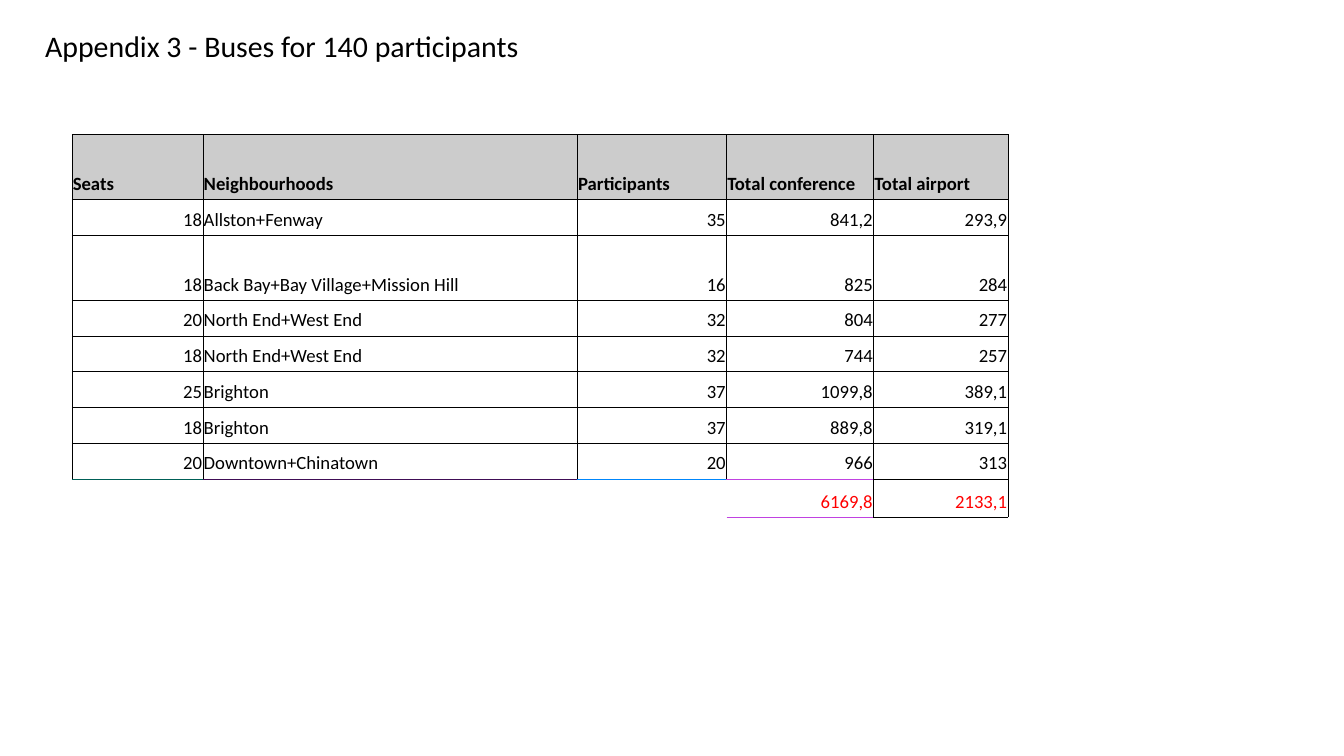
from dataclasses import dataclass

from lxml.etree import SubElement
from pptx import Presentation
from pptx.dml.color import RGBColor
from pptx.enum.text import MSO_ANCHOR, MSO_AUTO_SIZE, PP_ALIGN
from pptx.oxml.ns import qn
from pptx.table import _Cell
from pptx.util import Cm, Pt

BLACK = RGBColor(0x00, 0x00, 0x00)
RED = RGBColor(0xFF, 0x00, 0x00)
HEADER_GREY = RGBColor(0xCC, 0xCC, 0xCC)
TEAL = RGBColor(0x00, 0x60, 0x57)
PLUM = RGBColor(0x40, 0x0D, 0x56)
BLUE = RGBColor(0x00, 0x86, 0xFB)
VIOLET = RGBColor(0xC0, 0x42, 0xE1)

FONT = "Calibri"
SIDES = "LRTB"


@dataclass
class Column:
    heading: str
    width: float
    total: str
    total_borders: dict[str, RGBColor]
    align: PP_ALIGN = PP_ALIGN.RIGHT


@dataclass
class Bus:
    seats: str
    neighbourhoods: str
    participants: str
    conference: str
    airport: str
    height: float = 1.35

    def values(self) -> list[str]:
        return [self.seats, self.neighbourhoods, self.participants,
                self.conference, self.airport]


ALL_BLACK = dict.fromkeys(SIDES, BLACK)
COLUMNS = [
    Column("Seats", 4.95, "", {"T": TEAL}),
    Column("Neighbourhoods", 14.15, "", {"T": PLUM}, PP_ALIGN.LEFT),
    Column("Participants", 5.64, "", {"T": BLUE}),
    Column("Total conference", 5.56, "6169,8", {"T": VIOLET, "R": BLACK, "B": VIOLET}),
    Column("Total airport", 5.08, "2133,1", ALL_BLACK),
]
BUSES = [
    Bus("18", "Allston+Fenway", "35", "841,2", "293,9"),
    Bus("18", "Back Bay+Bay Village+Mission Hill", "16", "825", "284", 2.46),
    Bus("20", "North End+West End", "32", "804", "277"),
    Bus("18", "North End+West End", "32", "744", "257"),
    Bus("25", "Brighton", "37", "1099,8", "389,1"),
    Bus("18", "Brighton", "37", "889,8", "319,1"),
    Bus("20", "Downtown+Chinatown", "20", "966", "313"),
]
HEADER_HEIGHT = 2.46
TOTAL_HEIGHT = 1.45


def apply(target: object, formats: dict) -> None:
    for name, value in formats.items():
        setattr(target, name, value)


def set_borders(cell: _Cell, borders: dict[str, RGBColor]) -> None:
    """Draw the named sides and clear the others."""
    properties = cell._tc.get_or_add_tcPr()
    for position, side in enumerate(SIDES):
        line = SubElement(properties, qn(f"a:ln{side}"), w=str(Pt(0.5)))
        if side in borders:
            fill = SubElement(line, qn("a:solidFill"))
            SubElement(fill, qn("a:srgbClr"), val=str(borders[side]))
        else:
            SubElement(line, qn("a:noFill"))
        properties.insert(position, line)


def fill_cell(cell: _Cell, text: str, align: PP_ALIGN, borders: dict[str, RGBColor],
              color: RGBColor = BLACK, header: bool = False) -> None:
    apply(cell, {"margin_left": Cm(0.03), "margin_top": Cm(0.03),
                 "margin_right": Cm(0.03), "margin_bottom": Cm(0.15),
                 "vertical_anchor": MSO_ANCHOR.BOTTOM})
    para = cell.text_frame.paragraphs[0]
    para.alignment = align
    if text:
        span = para.add_run()
        span.text = text
        apply(span.font, {"name": FONT, "size": Pt(20), "bold": header})
        span.font.color.rgb = color
    if header:
        cell.fill.solid()
        cell.fill.fore_color.rgb = HEADER_GREY
    else:
        cell.fill.background()
    set_borders(cell, borders)


deck = Presentation()
apply(deck, {"slide_width": Cm(50.8), "slide_height": Cm(28.58)})
page = deck.slides.add_slide(deck.slide_layouts[5])

# Title
title = page.shapes.title
apply(title, {"left": Cm(1.45), "top": Cm(0.91), "width": Cm(25.4), "height": Cm(3.43)})
apply(title.text_frame, {"word_wrap": True, "auto_size": MSO_AUTO_SIZE.NONE,
                         "vertical_anchor": MSO_ANCHOR.TOP})
heading = title.text_frame.paragraphs[0]
heading.text = "Appendix 3 - Buses for 140 participants"
heading.alignment = PP_ALIGN.LEFT
apply(heading.font, {"name": FONT, "size": Pt(32)})
heading.font.color.rgb = BLACK

# Table grid
heights = [HEADER_HEIGHT, *(bus.height for bus in BUSES), TOTAL_HEIGHT]
table = page.shapes.add_table(
    len(heights), len(COLUMNS), Cm(2.72), Cm(5.08),
    Cm(sum(column.width for column in COLUMNS)), Cm(sum(heights))).table
apply(table, {"first_row": False, "horz_banding": False})
for row, height in zip(table.rows, heights):
    row.height = Cm(height)

# Header, one row per bus, and totals
last_bus = len(BUSES)
for index, column in enumerate(COLUMNS):
    table.columns[index].width = Cm(column.width)
    fill_cell(table.cell(0, index), column.heading, PP_ALIGN.LEFT, ALL_BLACK, header=True)
    for number, bus in enumerate(BUSES, start=1):
        borders = dict(ALL_BLACK)
        if number == last_bus:
            borders["B"] = column.total_borders["T"]
        fill_cell(table.cell(number, index), bus.values()[index], column.align, borders)
    fill_cell(table.cell(last_bus + 1, index), column.total, column.align,
              column.total_borders, RED)

deck.save("out.pptx")
